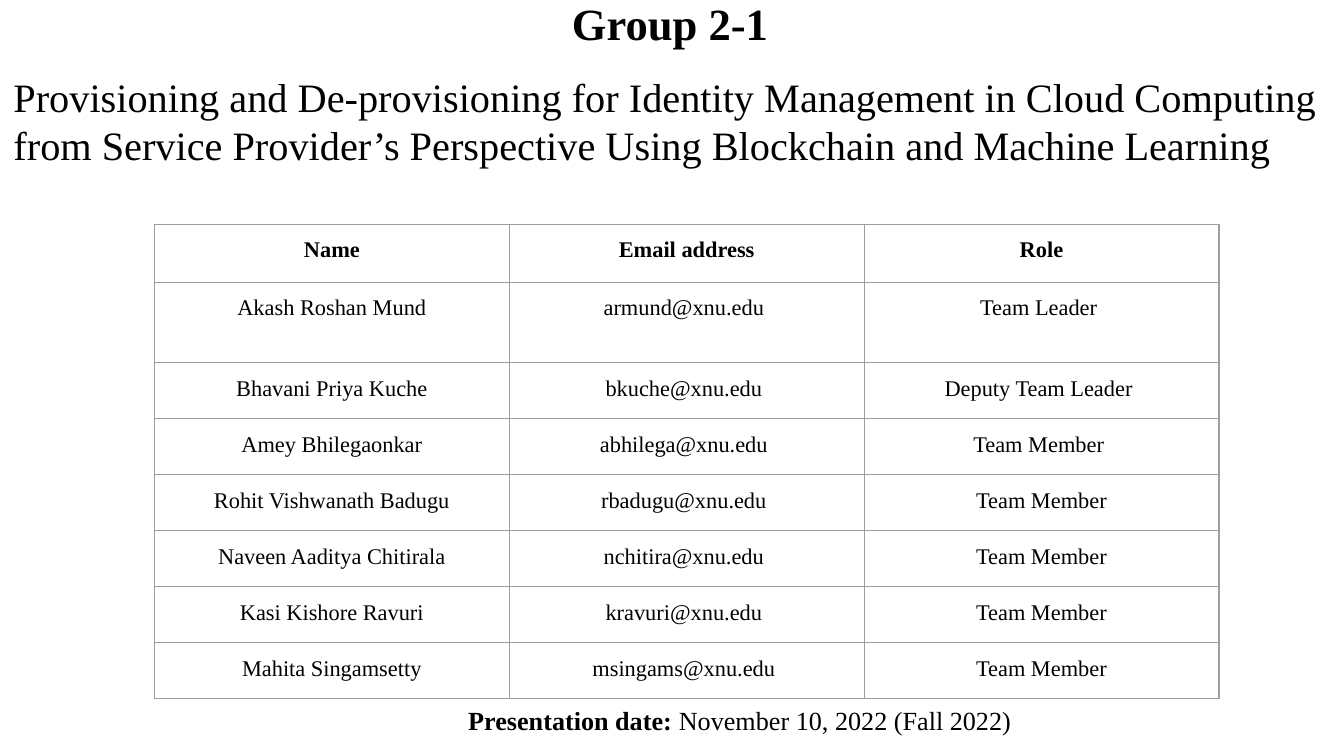
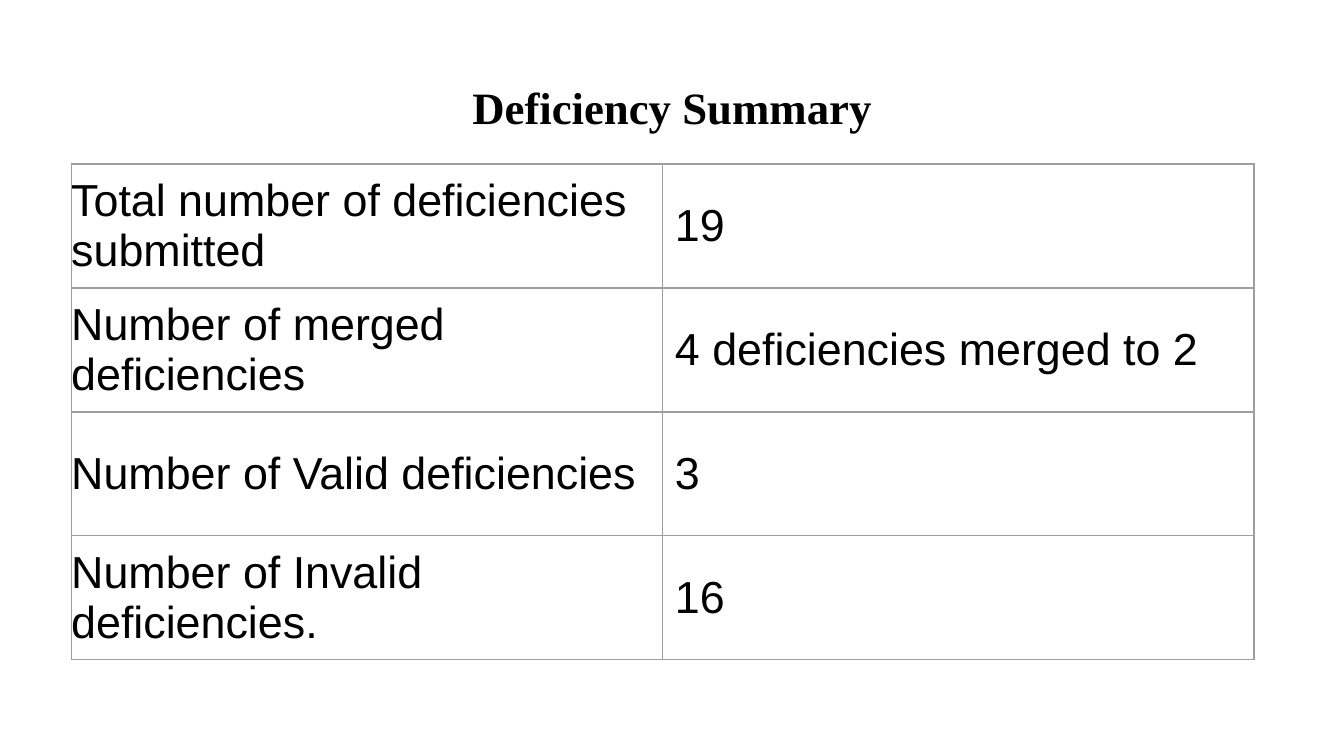
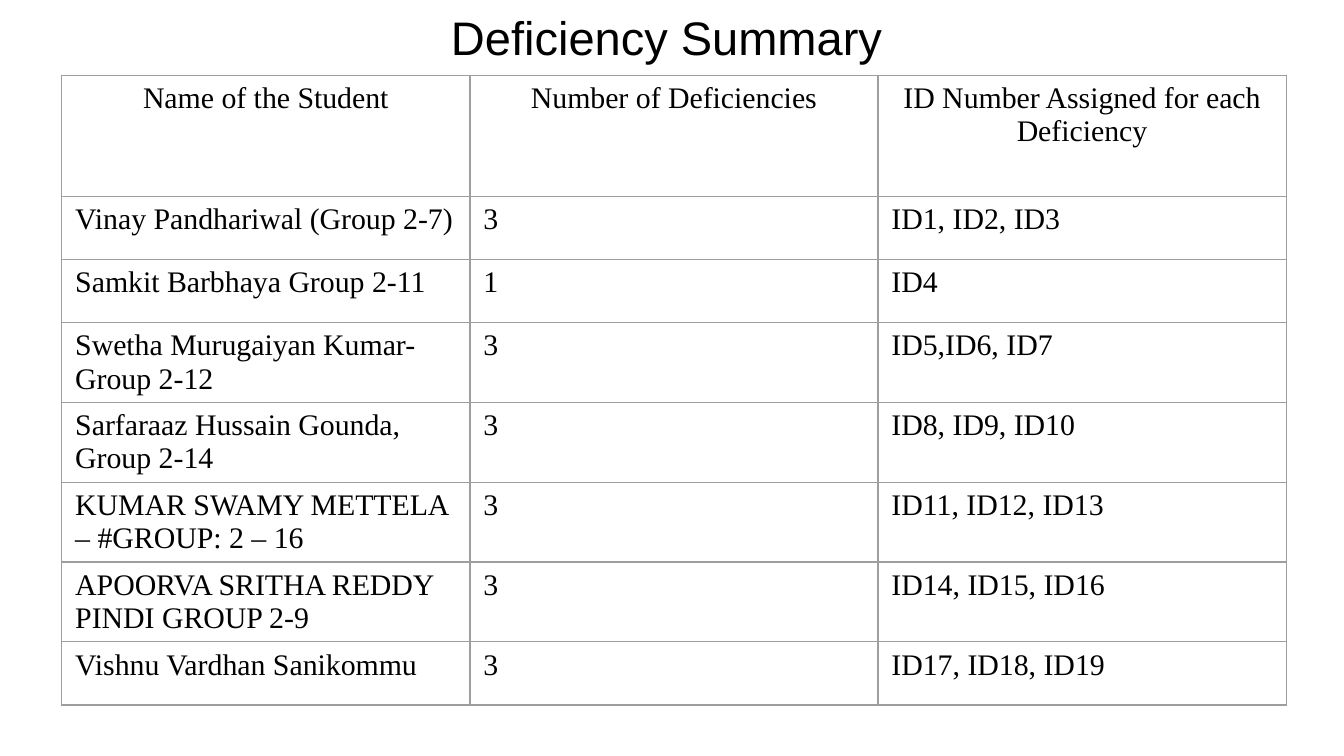
from dataclasses import dataclass

from lxml.etree import SubElement
from pptx import Presentation
from pptx.dml.color import RGBColor
from pptx.enum.text import MSO_ANCHOR as Anchor, MSO_AUTO_SIZE as AutoSize, PP_ALIGN as Align
from pptx.oxml.ns import qn
from pptx.util import Inches, Pt


@dataclass(frozen=True)
class Theme:
    ink: str = "000000"
    rule: str = "9E9E9E"
    rule_width: float = 0.75
    serif: str = "Times New Roman"
    sans: str = "Arial"
    heading: float = 24
    group: float = 23.9
    sans_heading: float = 25.2
    topic: float = 21.6
    roster: float = 12
    date: float = 14
    students: float = 16


THEME = Theme()
TITLE_ONLY = 5
PADDING = 0.1
MAIL_DOMAIN = "xnu.edu"
NBSP = "\u00a0"

TEAM = [
    ("Akash Roshan Mund", "armund", "Team Leader" + NBSP),
    ("Bhavani Priya Kuche", "bkuche", "Deputy Team Leader" + NBSP),
    ("Amey Bhilegaonkar", "abhilega", "Team Member" + NBSP),
    ("Rohit Vishwanath Badugu", "rbadugu", "Team Member"),
    ("Naveen Aaditya Chitirala", "nchitira", "Team Member"),
    ("Kasi Kishore Ravuri", "kravuri", "Team Member"),
    ("Mahita Singamsetty", "msingams", "Team Member"),
]
TOTALS = [
    ("Total number of deficiencies submitted", NBSP + "19"),
    ("Number of merged deficiencies", NBSP + "4 deficiencies merged to 2"),
    ("Number of Valid deficiencies", NBSP + "3"),
    ("Number of Invalid deficiencies.", NBSP + "16"),
]
STUDENTS = [
    ("Name of the Student", "Number of Deficiencies", "ID Number Assigned for each Deficiency"),
    ("Vinay Pandhariwal (Group 2-7)", "3", "ID1, ID2, ID3"),
    ("Samkit Barbhaya Group 2-11", "1", "ID4"),
    ("Swetha Murugaiyan Kumar- Group 2-12", "3", "ID5,ID6, ID7"),
    ("Sarfaraaz Hussain Gounda, Group 2-14", "3", "ID8, ID9, ID10"),
    ("KUMAR SWAMY METTELA – #GROUP: 2 – 16", "3", "ID11, ID12, ID13"),
    ("APOORVA SRITHA REDDY PINDI GROUP 2-9", "3", "ID14, ID15, ID16"),
    ("Vishnu Vardhan Sanikommu", "3", "ID17, ID18, ID19"),
]


# Shared helpers
def set_format(target, values):
    for name, value in values.items():
        setattr(target, name, value)


def place(shape, left, top, width, height):
    set_format(shape, {"left": Inches(left), "top": Inches(top),
                       "width": Inches(width), "height": Inches(height)})


def add_span(para, text, size, font, bold=False):
    span = para.add_run()
    span.text = text
    set_format(span.font, {"size": Pt(size), "name": font, "bold": bold})
    span.font.color.rgb = RGBColor.from_string(THEME.ink)


def margins(across, down):
    return {"margin_left": Inches(across), "margin_right": Inches(across),
            "margin_top": Inches(down), "margin_bottom": Inches(down)}


def set_frame(frame):
    set_format(frame, {"word_wrap": True, "auto_size": AutoSize.NONE,
                       "vertical_anchor": Anchor.TOP, **margins(PADDING, PADDING)})


def add_title_page(deck, text, area, size, font, bold):
    page = deck.slides.add_slide(deck.slide_layouts[TITLE_ONLY])
    title = page.shapes.title
    place(title, *area)
    set_frame(title.text_frame)
    para = title.text_frame.paragraphs[0]
    para.alignment = Align.CENTER
    add_span(para, text, size, font, bold)
    return page


# Tables
def add_borders(cell):
    properties = cell._tc.get_or_add_tcPr()
    for side in ("lnL", "lnR", "lnT", "lnB"):
        line = SubElement(properties, qn(f"a:{side}"), w=str(Pt(THEME.rule_width)))
        fill = SubElement(line, qn("a:solidFill"))
        SubElement(fill, qn("a:srgbClr"), val=THEME.rule)


def add_grid(page, rows, left, top, width, heights, cell_style):
    """Draw an equal-column table; cell_style gives cell format, alignment and font."""
    columns = len(rows[0])
    frame = page.shapes.add_table(len(rows), columns, Inches(left), Inches(top),
                                  Inches(width), Inches(sum(heights)))
    table = frame.table
    set_format(table, {"first_row": False, "horz_banding": False})
    for column in table.columns:
        column.width = Inches(width / columns)
    for r, (values, height) in enumerate(zip(rows, heights)):
        table.rows[r].height = Inches(height)
        for c, text in enumerate(values):
            cell = table.cell(r, c)
            cell_format, alignment, font = cell_style(r)
            set_format(cell, cell_format)
            add_borders(cell)
            cell.fill.background()
            para = cell.text_frame.paragraphs[0]
            para.alignment = alignment
            add_span(para, text, *font)


def roster_style(row):
    return margins(PADDING, PADDING), Align.CENTER, (THEME.roster, THEME.serif, row == 0)


def totals_style(row):
    values = {**margins(0, 0), "vertical_anchor": Anchor.MIDDLE}
    return values, Align.LEFT, (THEME.heading, THEME.sans)


def students_style(row):
    alignment = Align.LEFT if row else Align.CENTER
    return margins(PADDING, PADDING / 2), alignment, (THEME.students, THEME.serif)


# Slides
def add_team_page(deck):
    page = add_title_page(deck, "Group 2-1", (0, -0.13, 9.97, 1.24),
                          THEME.group, THEME.serif, True)
    topic = page.shapes.title.text_frame.add_paragraph()
    set_format(topic, {"alignment": Align.LEFT, "space_before": Pt(12)})
    add_span(topic, "Provisioning and De-provisioning for Identity Management in Cloud Computing "
             "from Service Provider’s Perspective Using Blockchain and Machine Learning",
             THEME.topic, THEME.serif)

    roster = [("Name", "Email address", "Role")]
    roster += [(name, f"{user}@{MAIL_DOMAIN}{NBSP}", role) for name, user, role in TEAM]
    heights = [0.43, 0.6] + [2.5 / 6] * 6
    add_grid(page, roster, 1.15, 1.67, 7.92, heights, roster_style)

    box = page.shapes.add_textbox(Inches(3.11), Inches(5.14), Inches(4.79), Inches(0.44))
    set_frame(box.text_frame)
    para = box.text_frame.paragraphs[0]
    para.alignment = Align.CENTER
    add_span(para, "Presentation date: ", THEME.date, THEME.serif, True)
    add_span(para, "November 10, 2022 (Fall 2022)", THEME.date, THEME.serif)


def add_totals_page(deck):
    page = add_title_page(deck, "Deficiency Summary", (0.34, 0.49, 9.32, 0.63),
                          THEME.heading, THEME.serif, True)
    heights = [3.69 / len(TOTALS)] * len(TOTALS)
    add_grid(page, TOTALS, 0.53, 1.22, 8.8, heights, totals_style)


def add_students_page(deck):
    page = add_title_page(deck, "Deficiency Summary", (0.3, -0.04, 9.32, 0.63),
                          THEME.sans_heading, THEME.sans, False)
    heights = [0.9] + [0.47] * 2 + [0.59] * 4 + [0.47]
    add_grid(page, STUDENTS, 0.46, 0.56, 9.11, heights, students_style)


def main():
    deck = Presentation()
    width = Inches(10)
    set_format(deck, {"slide_width": width, "slide_height": width * 9 // 16})
    add_team_page(deck)
    add_totals_page(deck)
    add_students_page(deck)
    deck.save("out.pptx")


main()
